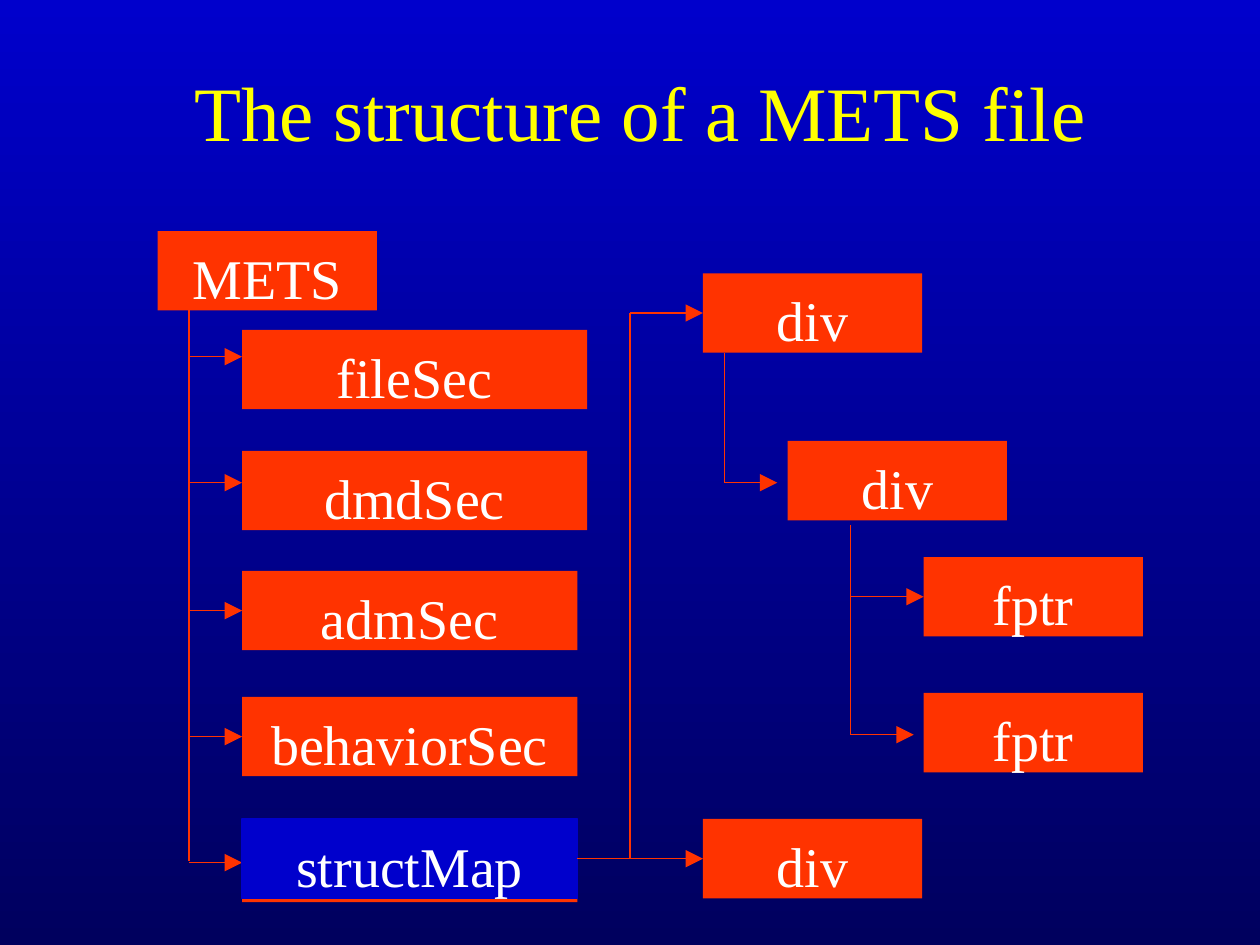
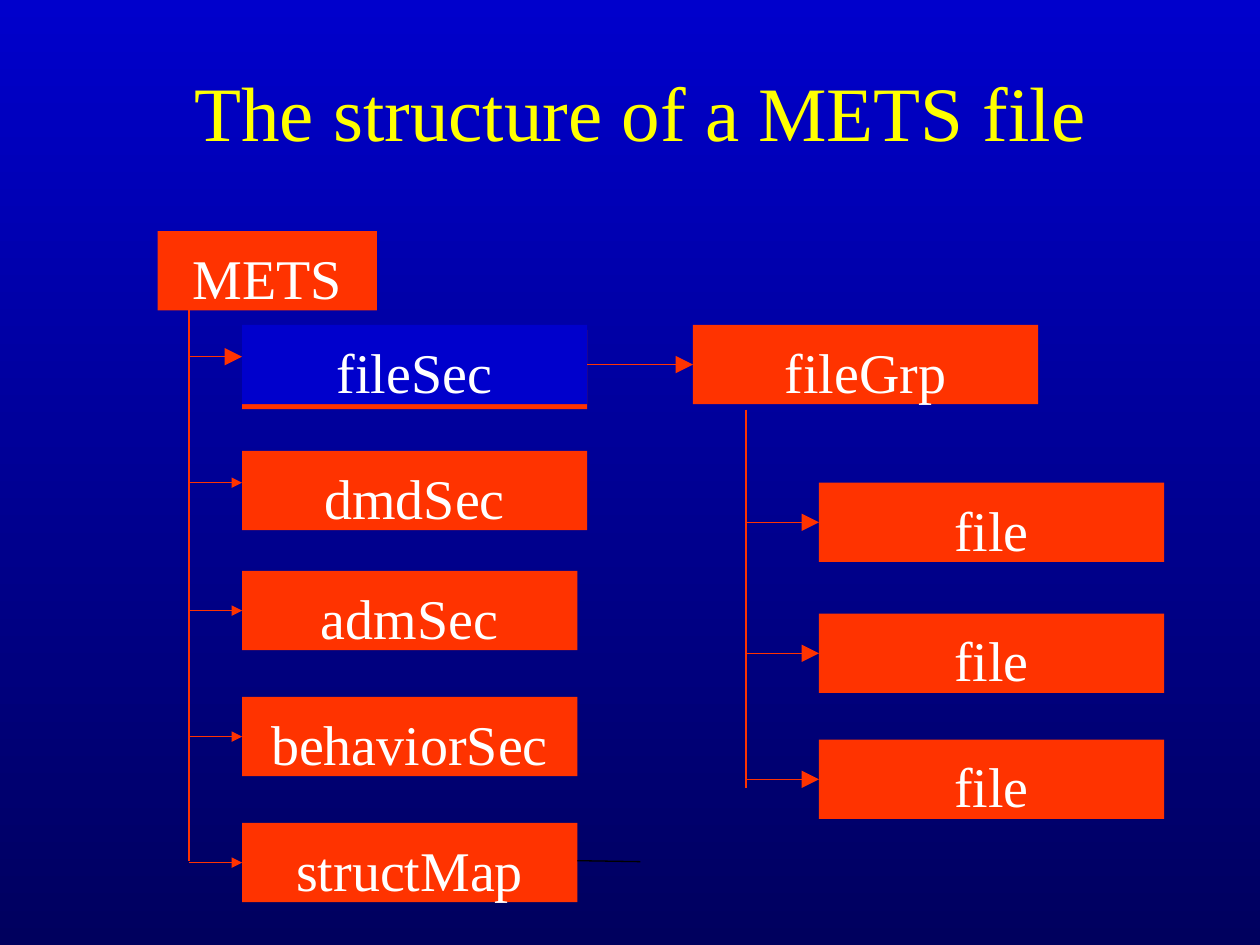
from lxml import etree
from pptx import Presentation
from pptx.dml.color import RGBColor
from pptx.enum.shapes import MSO_CONNECTOR, MSO_SHAPE
from pptx.enum.text import MSO_ANCHOR, PP_ALIGN
from pptx.oxml.ns import qn
from pptx.util import Cm, Pt

RECTANGLE = MSO_SHAPE.RECTANGLE
STRAIGHT = MSO_CONNECTOR.STRAIGHT
TOP, MIDDLE = MSO_ANCHOR.TOP, MSO_ANCHOR.MIDDLE
CENTER = PP_ALIGN.CENTER
LEFT_SIDE, RIGHT_SIDE = 1, 3

FONT = "Times New Roman"
RED, BLUE, NAVY = "FF3300", "0000CC", "00005E"
YELLOW, WHITE, BLACK = "FFFF00", "FFFFFF", "000000"

BOX_HEIGHT = 1.6
NARROW, MEDIUM, WIDE = 4.42, 6.76, 6.96
SECTION_LEFT = 4.88
TRUNK_X = 3.81
FIRST_BRANCH_Y, BRANCH_PITCH = 7.19, 2.54
SECTIONS = [
    ("fileSec", 6.65, WIDE, False),
    ("dmdSec", 9.09, WIDE, False),
    ("admSec", 11.51, MEDIUM, True),
    ("behaviorSec", 14.05, MEDIUM, True),
    ("structMap", 16.59, MEDIUM, True),
]


def color(value):
    return RGBColor.from_string(value)


def write(shape, text, size=32, ink=WHITE, anchor=TOP, inset_top=0.25, inset_bottom=0):
    frame = shape.text_frame
    frame.word_wrap = True
    frame.vertical_anchor = anchor
    frame.margin_left = frame.margin_right = Cm(0.25)
    frame.margin_top, frame.margin_bottom = Cm(inset_top), Cm(inset_bottom)
    paragraph = frame.paragraphs[0]
    paragraph.alignment = CENTER
    run = paragraph.add_run()
    run.text = text
    run.font.name = FONT
    run.font.size = Pt(size)
    run.font.color.rgb = color(ink)


class Diagram:
    def __init__(self, presentation):
        self.presentation = presentation
        self.slide = None

    def start(self, title):
        self.slide = self.presentation.slides.add_slide(self.presentation.slide_layouts[6])
        fill = self.slide.background.fill
        fill.gradient()
        fill.gradient_angle = 270
        for stop, position, value in zip(fill.gradient_stops, (0, 1), (BLUE, NAVY)):
            stop.position = position
            stop.color.rgb = color(value)
        title_box = self.slide.shapes.add_textbox(Cm(2.12), Cm(0.64), Cm(21.59), Cm(3.18))
        write(title_box, title, size=44, ink=YELLOW, anchor=MIDDLE,
              inset_top=0.13, inset_bottom=0.13)

    def box(self, text, left, top, width=NARROW, fill=RED, outlined=False):
        shape = self.slide.shapes.add_shape(
            RECTANGLE, Cm(left), Cm(top), Cm(width), Cm(BOX_HEIGHT))
        shape.shadow.inherit = False
        shape.fill.solid()
        shape.fill.fore_color.rgb = color(fill)
        if outlined:
            shape.line.color.rgb = color(fill)
            shape.line.width = Pt(0.75)
        else:
            shape.line.fill.background()
        if text:
            write(shape, text)
        return shape

    def line(self, x1, y1, x2, y2, ink=RED, head=None):
        connector = self.slide.shapes.add_connector(
            STRAIGHT, Cm(x1), Cm(y1), Cm(x2), Cm(y2))
        connector.line.color.rgb = color(ink)
        connector.line.width = Pt(0.75)
        if head:
            etree.SubElement(connector.line._get_or_add_ln(), qn("a:tailEnd"),
                             type="triangle", w=head, len=head)
        etree.SubElement(connector._element.spPr, qn("a:effectLst"))
        return connector

    def branch(self, x, target, head="lg"):
        y = (target.top + target.height / 2) / Cm(1)
        connector = self.line(x, y, target.left / Cm(1), y, head=head)
        connector.end_connect(target, LEFT_SIDE)
        return connector

    def link(self, source, target):
        connector = self.branch(source.left / Cm(1), target)
        connector.begin_connect(source, RIGHT_SIDE)

    def sections(self, highlighted, head):
        self.box("METS", 3.18, 4.66)
        last_y = FIRST_BRANCH_Y + BRANCH_PITCH * (len(SECTIONS) - 1)
        self.line(TRUNK_X, 6.15, TRUNK_X, last_y)
        for index, (name, top, width, centred) in enumerate(SECTIONS):
            section = self.box("" if name == highlighted else name, SECTION_LEFT, top, width)
            size = "lg" if index == 0 else head
            if centred:
                self.branch(TRUNK_X, section, size)
            else:
                y = FIRST_BRANCH_Y + BRANCH_PITCH * index
                self.line(TRUNK_X, y, SECTION_LEFT, y, head=size)


def build_struct_map(diagram):
    diagram.start("The structure of a METS file")
    diagram.sections("structMap", "lg")
    struct_map = diagram.box("structMap", SECTION_LEFT, 16.51, MEDIUM, BLUE, outlined=True)

    upper_div = diagram.box("div", 14.17, 5.51)
    lower_div = diagram.box("div", 14.17, 16.51)
    diagram.link(struct_map, lower_div)
    diagram.line(12.7, 17.31, 12.7, 6.31)
    diagram.branch(12.7, upper_div)

    diagram.box("div", 15.88, 8.89)
    diagram.line(14.61, 7.11, 14.61, 9.73)
    diagram.line(14.61, 9.73, 15.67, 9.73, head="lg")

    upper_pointer = diagram.box("fptr", 18.62, 11.23)
    diagram.box("fptr", 18.62, 13.97)
    diagram.line(17.15, 10.59, 17.15, 14.81)
    diagram.branch(17.15, upper_pointer)
    diagram.line(17.15, 14.81, 18.42, 14.81, head="lg")


def build_file_section(diagram):
    diagram.start("The structure of a METS file")
    diagram.sections("fileSec", "med")
    diagram.line(11.64, 17.35, 12.91, 17.37, ink=BLACK)

    file_section = diagram.box("fileSec", SECTION_LEFT, 6.55, WIDE, BLUE)
    file_group = diagram.box("fileGrp", 13.97, 6.55, WIDE)
    diagram.link(file_section, file_group)

    diagram.line(15.04, 8.26, 15.04, 15.88)
    for top in (9.73, 12.37, 14.91):
        diagram.branch(15.04, diagram.box("file", 16.51, top, WIDE))


def main():
    presentation = Presentation()
    presentation.slide_width, presentation.slide_height = Cm(25.4), Cm(19.05)
    diagram = Diagram(presentation)
    build_struct_map(diagram)
    build_file_section(diagram)
    presentation.save("out.pptx")


if __name__ == "__main__":
    main()
